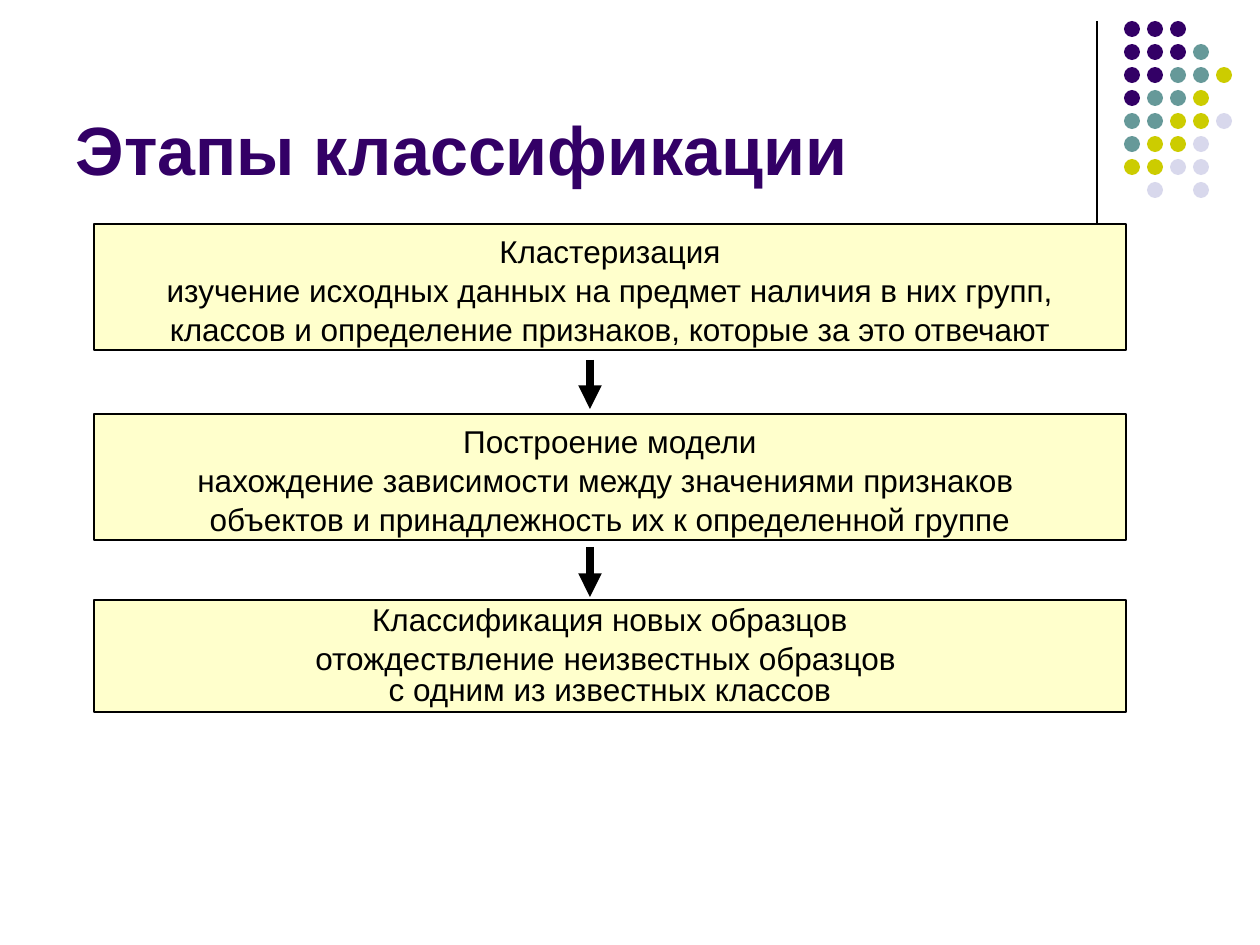
from dataclasses import dataclass

from lxml import etree
from pptx import Presentation
from pptx.dml.color import RGBColor
from pptx.enum.shapes import MSO_CONNECTOR, MSO_SHAPE
from pptx.enum.text import MSO_ANCHOR, MSO_AUTO_SIZE, PP_ALIGN
from pptx.oxml.ns import qn
from pptx.util import Emu, Inches, Pt

STRAIGHT = MSO_CONNECTOR.STRAIGHT
RECTANGLE, OVAL = MSO_SHAPE.RECTANGLE, MSO_SHAPE.OVAL
LEFT, CENTER = PP_ALIGN.LEFT, PP_ALIGN.CENTER
TOP, BOTTOM = MSO_ANCHOR.TOP, MSO_ANCHOR.BOTTOM
NO_AUTOFIT = MSO_AUTO_SIZE.NONE

PX_PER_INCH = 126
FONT = "Arial"
BLACK, PURPLE, CREAM = "000000", "330066", "FFFFCC"
DOT_COLORS = {"P": PURPLE, "T": "669999", "Y": "CCCC00", "L": "D8D8EC"}
DOT_ROWS = ["PPP", "PPPT", "PPTTY", "PTTY", "TTYYL", "TYYL", "YYLL", " L L"]
DOT_LEFT, DOT_TOP, DOT_PITCH, DOT_SIZE = 1124, 21, 23, 16
STAGE_LEFT, STAGE_WIDTH = 94, 1032
ARROW_X = 590


@dataclass
class Stage:
    top: int
    height: int
    name: str
    description: str
    line_spacing: float = 1.04
    gap: float = 0


@dataclass
class Line:
    x: int
    top: int
    bottom: int
    width: float
    arrow: bool = False


STAGES = [
    Stage(224, 126, "Кластеризация",
          "изучение исходных данных на предмет наличия в них групп, "
          "классов и определение признаков, которые за это отвечают"),
    Stage(414, 126, "Построение модели",
          "нахождение зависимости между значениями признаков \v"
          "объектов и принадлежность их к определенной группе"),
    Stage(600, 112, "Классификация новых образцов",
          "отождествление неизвестных образцов \v"
          "с одним из известных классов", line_spacing=0.83, gap=4.5),
]
DIVIDER = Line(1097, 21, 231, 0.75)
ARROWS = [Line(ARROW_X, 360, 409, 4.5, True), Line(ARROW_X, 547, 597, 4.5, True)]


def px(length: int) -> Emu:
    return Emu(round(length * 914400 / PX_PER_INCH))


def rgb(color: str) -> RGBColor:
    return RGBColor.from_string(color)


def set_font(paragraph, size: float, color: str, bold: bool = False) -> None:
    font = paragraph.font
    font.name, font.size, font.bold = FONT, Pt(size), bold
    font.color.rgb = rgb(color)


def add_filled(slide, kind, left: int, top: int, width: int, height: int, color: str):
    shape = slide.shapes.add_shape(kind, px(left), px(top), px(width), px(height))
    shape.shadow.inherit = False
    shape.fill.solid()
    shape.fill.fore_color.rgb = rgb(color)
    return shape


def add_line(slide, line: Line) -> None:
    connector = slide.shapes.add_connector(
        STRAIGHT, px(line.x), px(line.top), px(line.x), px(line.bottom))
    connector.line.color.rgb = rgb(BLACK)
    connector.line.width = Pt(line.width)
    properties = connector._element.spPr
    if line.arrow:
        outline = properties.find(qn("a:ln"))
        etree.SubElement(outline, qn("a:tailEnd"), type="triangle")
    etree.SubElement(properties, qn("a:effectLst"))


def add_dots(slide) -> None:
    for row, codes in enumerate(DOT_ROWS):
        for column, code in enumerate(codes):
            if code in DOT_COLORS:
                dot = add_filled(slide, OVAL, DOT_LEFT + column * DOT_PITCH,
                                 DOT_TOP + row * DOT_PITCH,
                                 DOT_SIZE, DOT_SIZE, DOT_COLORS[code])
                dot.line.fill.background()


def add_title(slide, text: str) -> None:
    title = slide.shapes.title
    title.left, title.top, title.width, title.height = map(px, (63, 16, 1040, 179))
    frame = title.text_frame
    frame.text = text
    frame.auto_size = NO_AUTOFIT
    frame.vertical_anchor = BOTTOM
    heading = frame.paragraphs[0]
    heading.alignment = LEFT
    set_font(heading, 39, PURPLE, bold=True)


def add_stage(slide, stage: Stage) -> None:
    box = add_filled(slide, RECTANGLE, STAGE_LEFT, stage.top,
                     STAGE_WIDTH, stage.height, CREAM)
    box.line.color.rgb = rgb(BLACK)
    box.line.width = Pt(0.75)
    frame = box.text_frame
    frame.word_wrap = True
    frame.vertical_anchor = TOP
    frame.text = f"{stage.name}\n{stage.description}"
    for paragraph in frame.paragraphs:
        paragraph.alignment = CENTER
        paragraph.line_spacing = stage.line_spacing
        set_font(paragraph, 18, BLACK)
    frame.paragraphs[1].space_before = Pt(stage.gap)


def main() -> None:
    presentation = Presentation()
    presentation.slide_width, presentation.slide_height = Inches(10), Inches(7.5)
    slide = presentation.slides.add_slide(presentation.slide_layouts[5])

    # Corner decoration
    add_line(slide, DIVIDER)
    add_dots(slide)

    # Title and stages
    add_title(slide, "Этапы классификации")
    for stage in STAGES:
        add_stage(slide, stage)

    # Arrows between the stages
    for arrow in ARROWS:
        add_line(slide, arrow)

    presentation.save("out.pptx")


if __name__ == "__main__":
    main()
